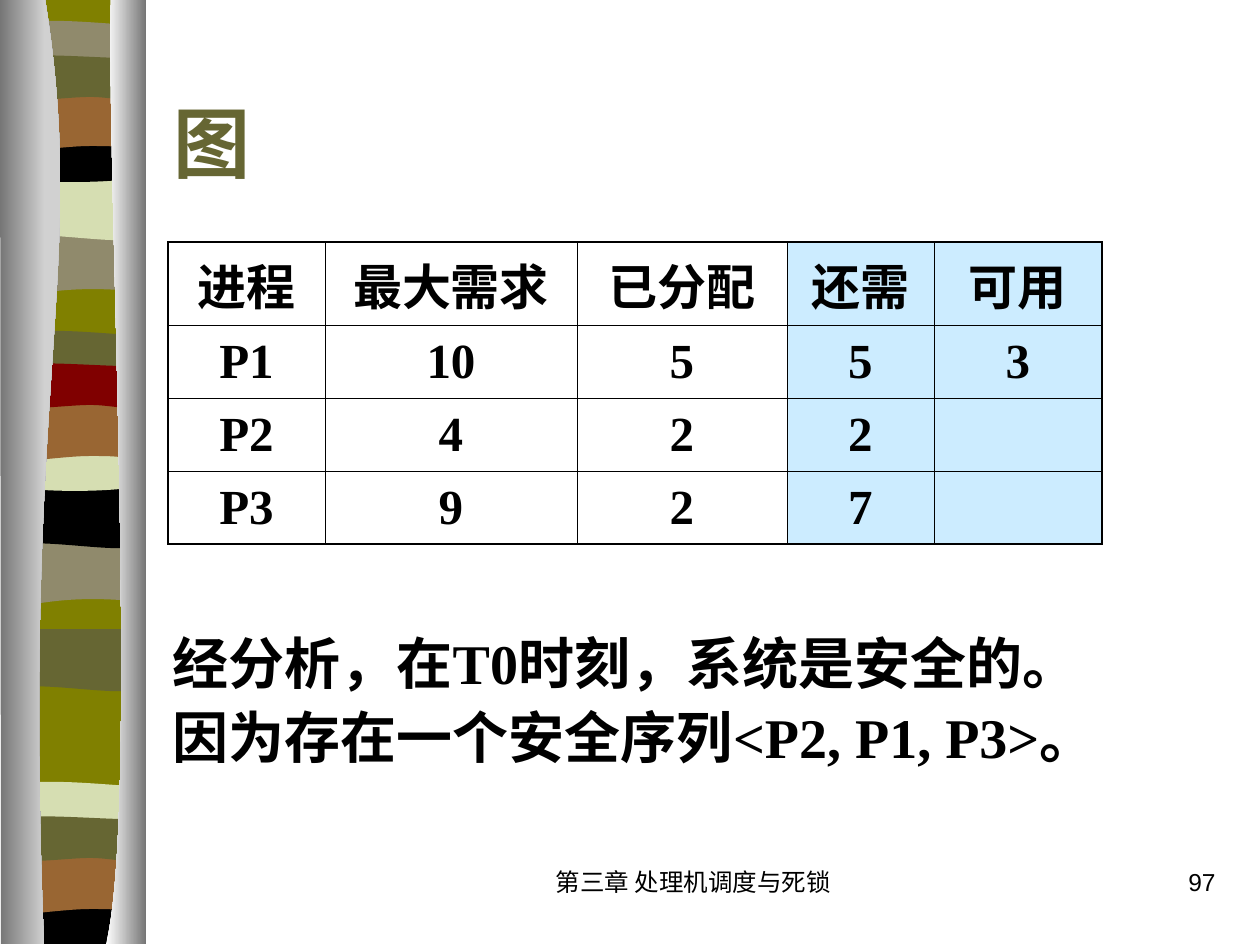
from lxml import etree
from pptx import Presentation
from pptx.dml.color import RGBColor
from pptx.enum.text import MSO_ANCHOR, PP_ALIGN
from pptx.oxml.ns import qn
from pptx.util import Pt

PX = 914400 // 126
LEFT, CENTER, RIGHT = PP_ALIGN.LEFT, PP_ALIGN.CENTER, PP_ALIGN.RIGHT
MIDDLE = MSO_ANCHOR.MIDDLE

BLACK = RGBColor(0x00, 0x00, 0x00)
OLIVE = RGBColor(0x80, 0x80, 0x00)
TAUPE = RGBColor(0x90, 0x8A, 0x6C)
CREAM = RGBColor(0xD6, 0xDE, 0xB2)
BROWN = RGBColor(0x99, 0x66, 0x33)
MOSS = RGBColor(0x66, 0x66, 0x33)
MAROON = RGBColor(0x80, 0x00, 0x00)
SKY = RGBColor(0xCC, 0xEC, 0xFF)
GRAY = RGBColor(0x76, 0x76, 0x76)
SILVER = RGBColor(0xD1, 0xD1, 0xD1)
WHITE = RGBColor(0xFF, 0xFF, 0xFF)

SERIF, SANS = "Times New Roman", "Arial"

TITLE = "图"
TABLE = [
    ["进程", "最大需求", "已分配", "还需", "可用"],
    ["P1", "10", "5", "5", "3"],
    ["P2", "4", "2", "2", ""],
    ["P3", "9", "2", "7", ""],
]
COLUMN_WIDTHS = [157, 252, 210, 147, 168]
ROW_HEIGHT = 73
FIRST_SHADED_COLUMN = 3
CONCLUSION = ["经分析，在T0时刻，系统是安全的。", "因为存在一个安全序列<P2, P1, P3>。"]
FOOTER = "第三章 处理机调度与死锁"
PAGE_NUMBER = "97"

# Two numbers are a corner; six are a Bézier curve.
OUTLINES = {
    "backdrop": [(136, 0), (136, 942), (0, 942), (0, 0)],
    "sag": [(136, 0), (136, 59), (42, 49, 23, 69, 0, 59), (0, 0)],
    "swell": [(136, 0), (136, 59), (113, 69, 42, 52, 0, 59), (0, 0)],
    "ribbon": [(136, 6), (136, 37), (113, 42, 23, 42, 0, 37), (0, 6),
               (8, 0, 29, 1, 52, 1), (74, 1, 118, 5, 136, 6)],
    "bowl": [(136, 0), (136, 40), (113, 48, 23, 48, 0, 40), (0, 0),
             (83, 6, 107, 0, 136, 0)],
    "arch": [(136, 0), (136, 59), (115, 53, 106, 53, 83, 53),
             (60, 53, 20, 59, 0, 59), (0, 0)],
    "wave": [(136, 6), (136, 45), (127, 52, 106, 45, 83, 45),
             (60, 45, 14, 52, 0, 45), (0, 6), (19, 0, 92, 6, 115, 6),
             (137, 6, 132, 6, 136, 6)],
    "foot": [(136, 0), (136, 47), (0, 47), (0, 0), (83, 6, 107, 0, 136, 0)],
}
BAND_LEFT = 7
BANDS = [
    ("backdrop", -1, OLIVE),
    ("sag", 233, TAUPE), ("swell", 178, CREAM), ("ribbon", 20, TAUPE),
    ("bowl", 136, BLACK), ("arch", 93, BROWN), ("wave", 52, MOSS),
    ("sag", 543, TAUPE), ("swell", 486, BLACK), ("ribbon", 330, MOSS),
    ("bowl", 445, CREAM), ("arch", 403, BROWN), ("wave", 360, MAROON),
    ("sag", 685, OLIVE), ("swell", 629, MOSS), ("ribbon", 781, CREAM),
    ("foot", 897, BLACK), ("arch", 856, BROWN), ("wave", 813, MOSS),
]
CURTAINS = [
    ([(45, -1), (89, 272, 21, 373, 44, 944), (1, 944), (0, -1)], GRAY, SILVER),
    ([(111, -1), (106, 158, 140, 814, 106, 944), (146, 944), (146, 0)], WHITE, GRAY),
]


def add_outline(page, outline, left=0, top=0):
    pieces = [[((x + left) * PX, (y + top) * PX) for x, y in zip(piece[::2], piece[1::2])]
              for piece in outline]
    builder = page.shapes.build_freeform(*pieces[0][-1])
    builder.add_line_segments([piece[-1] for piece in pieces[1:]], close=True)
    shape = builder.convert_to_shape()
    shape.shadow.inherit = False
    shape.line.fill.background()
    segments = list(shape._element.iter(qn("a:lnTo")))
    for segment, piece in zip(segments, pieces[1:]):
        if len(piece) == 3:
            curve = etree.Element(qn("a:cubicBezTo"))
            for x, y in piece:
                etree.SubElement(curve, qn("a:pt"), x=str(x - shape.left), y=str(y - shape.top))
            segment.getparent().replace(segment, curve)
    return shape


def write(frame, lines, size, font, color=BLACK, bold=False, align=LEFT, spacing=None):
    frame.word_wrap = True
    for index, line in enumerate(lines):
        para = frame.add_paragraph() if index else frame.paragraphs[0]
        para.alignment = align
        para.line_spacing = spacing
        span = para.add_run()
        span.text = line
        span.font.size, span.font.name = Pt(size), font
        span.font.bold, span.font.color.rgb = bold, color


def place(shape, left, top, width, height):
    shape.left, shape.top = left * PX, top * PX
    shape.width, shape.height = width * PX, height * PX


def add_text(page, area, lines, size, font, **style):
    box = page.shapes.add_textbox(*(length * PX for length in area))
    write(box.text_frame, lines, size, font, **style)


def set_border(cell, side, points):
    line = etree.SubElement(cell._tc.get_or_add_tcPr(), qn("a:ln" + side), w=str(Pt(points)))
    fill = etree.SubElement(line, qn("a:solidFill"))
    etree.SubElement(fill, qn("a:srgbClr"), val=str(BLACK))


def add_process_table(page):
    rows, columns = len(TABLE), len(COLUMN_WIDTHS)
    frame = page.shapes.add_table(rows, columns, 168 * PX, 242 * PX,
                                  sum(COLUMN_WIDTHS) * PX, rows * ROW_HEIGHT * PX)
    table = frame.table
    table.first_row = table.horz_banding = False
    for column, width in zip(table.columns, COLUMN_WIDTHS):
        column.width = width * PX
    for r, values in enumerate(TABLE):
        table.rows[r].height = ROW_HEIGHT * PX
        for c, value in enumerate(values):
            cell = table.cell(r, c)
            cell.vertical_anchor = MIDDLE
            outer = {"L": c == 0, "R": c == columns - 1, "T": r == 0, "B": r == rows - 1}
            for side, is_outer in outer.items():
                set_border(cell, side, 1.08 if is_outer else 0.45)
            if c >= FIRST_SHADED_COLUMN:
                cell.fill.solid()
                cell.fill.fore_color.rgb = SKY
            else:
                cell.fill.background()
            if value:
                write(cell.text_frame, [value], 28, SERIF, bold=True, align=CENTER)


def main():
    deck = Presentation()
    deck.slide_width, deck.slide_height = 1260 * PX, 945 * PX
    page = deck.slides.add_slide(deck.slide_layouts[5])

    for name, top, color in BANDS:
        band = add_outline(page, OUTLINES[name], BAND_LEFT, top)
        band.fill.solid()
        band.fill.fore_color.rgb = color
    for outline, start, end in CURTAINS:
        curtain = add_outline(page, outline)
        curtain.fill.gradient()
        curtain.fill.gradient_angle = 0
        for stop, color, position in zip(curtain.fill.gradient_stops, (start, end), (0, 1)):
            stop.color.rgb, stop.position = color, position

    title = page.shapes.title
    place(title, 161, 63, 1071, 157)
    title.text_frame.vertical_anchor = MIDDLE
    write(title.text_frame, [TITLE], 44, SERIF, color=MOSS, bold=True)

    add_process_table(page)
    add_text(page, (160, 616, 1026, 161), CONCLUSION, 32, SERIF, bold=True, spacing=1.1)
    add_text(page, (494, 861, 399, 63), [FOOTER], 14, SANS, align=CENTER)
    add_text(page, (966, 861, 262, 63), [PAGE_NUMBER], 14, SANS, align=RIGHT)
    deck.save("out.pptx")


if __name__ == "__main__":
    main()
